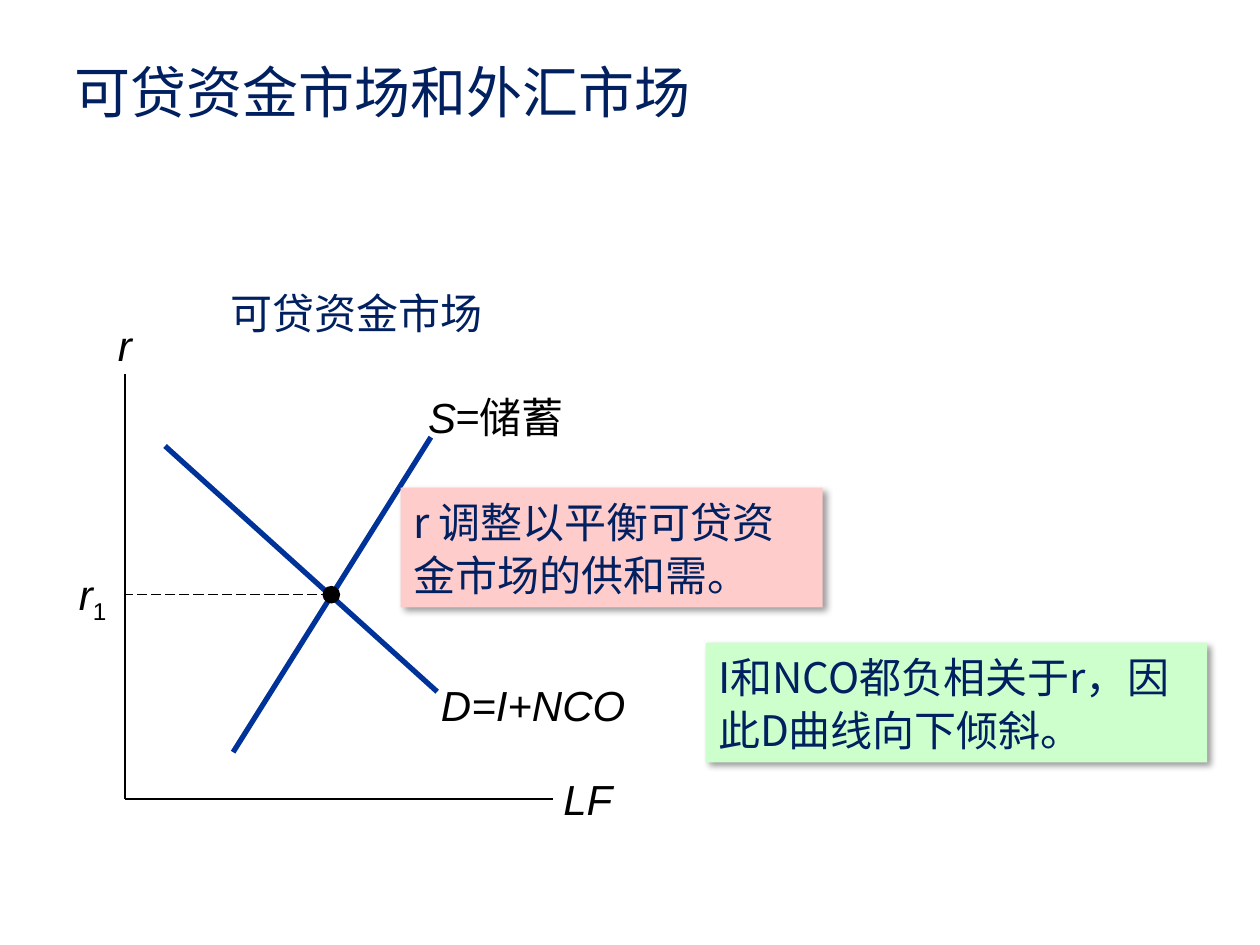
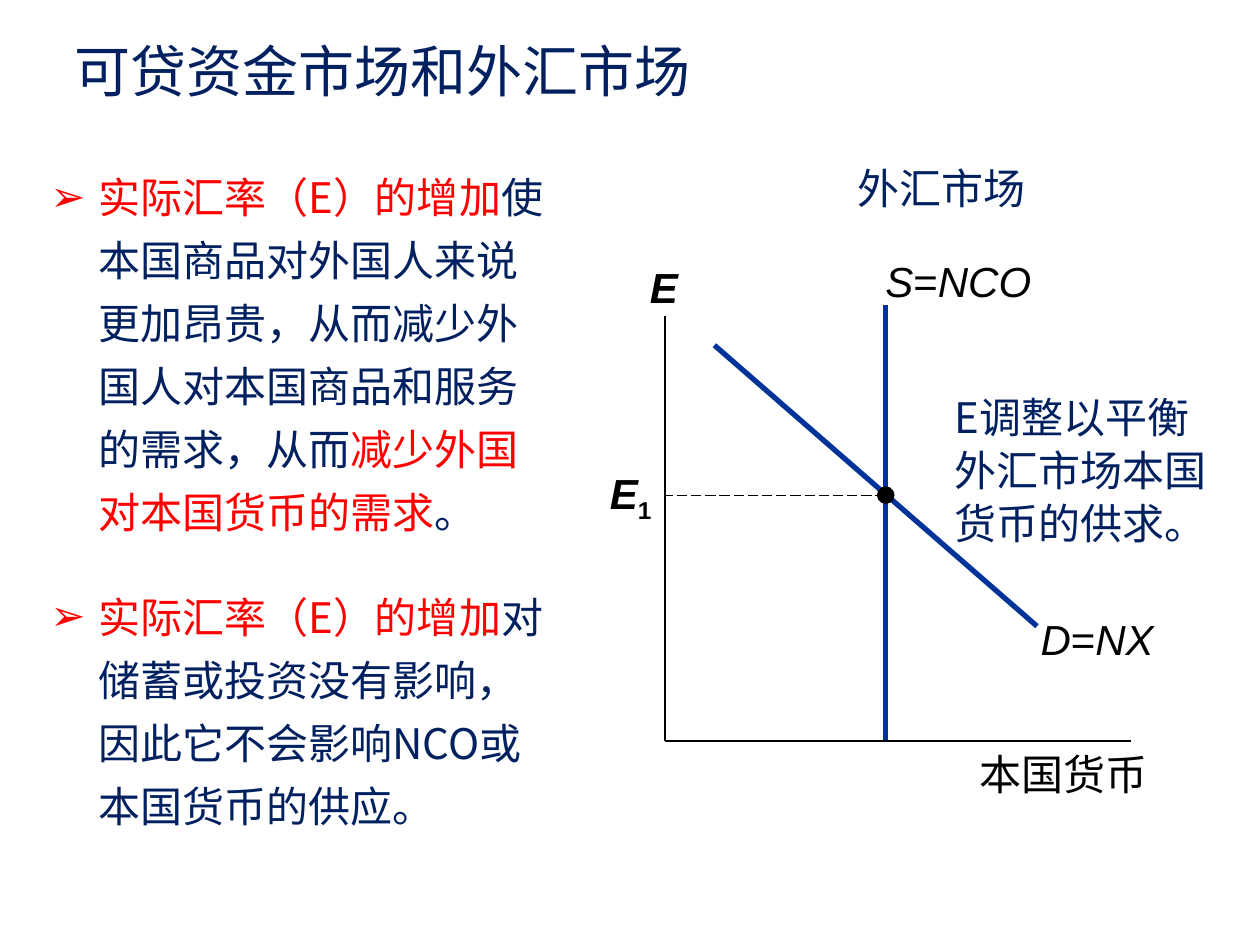
from lxml.etree import SubElement as Sub
from pptx import Presentation
from pptx.dml.color import RGBColor as RGB
from pptx.enum.dml import MSO_LINE_DASH_STYLE as Dash
from pptx.enum.shapes import MSO_CONNECTOR as Conn, MSO_SHAPE as Kind
from pptx.enum.text import MSO_ANCHOR as Anchor, MSO_AUTO_SIZE as Auto, PP_ALIGN as Align
from pptx.oxml.ns import qn
from pptx.util import Inches, Pt

# Shared style
HUE = {"navy": "002060", "curve": "003399", "ink": "000000", "red": "FF0000",
       "pink": "FFCCCC", "mint": "CCFFCC"}
CJK, LATIN = "Noto Sans CJK SC", "Arial"
TITLE = "可贷资金市场和外汇市场"

# Run formats
NOTE = {"name": CJK, "size": Pt(24), "hue": "navy"}
HOT = {**NOTE, "hue": "red"}
WORD = {**NOTE, "hue": "ink"}
HEAD = {**NOTE, "size": Pt(32)}
SIGN = {"name": LATIN, "size": Pt(24), "hue": "ink"}
VAR = {**SIGN, "italic": True}
BOLD = {**VAR, "bold": True}
SUB = {**SIGN, "sub": True}
BOLD_SUB = {**SUB, "bold": True}


def color(name):
    return RGB.from_string(HUE[name])


class Deck:
    """Holds the style and the current slide."""

    def __init__(self):
        self.prs = Presentation()
        self.prs.slide_width, self.prs.slide_height = Inches(10), Inches(7.5)

    def page(self, layout, top):
        self.slide = self.prs.slides.add_slide(self.prs.slide_layouts[layout])
        title = self.slide.shapes.title
        self.place(title, (0.49, top, 7.96, 0.64))
        self.fill_text(title.text_frame, [(TITLE, HEAD)])

    def place(self, shape, box):
        for key, val in zip(("left", "top", "width", "height"), box):
            setattr(shape, key, Inches(val))

    def add_runs(self, para, runs):
        for text, form in runs:
            run = para.add_run()
            run.text = text
            for key, val in form.items():
                if key == "hue":
                    run.font.color.rgb = color(val)
                elif key == "sub":
                    run.font._element.set("baseline", "-25000")
                else:
                    setattr(run.font, key, val)
            if form["name"] == CJK:
                Sub(run.font._element, qn("a:ea")).set("typeface", CJK)

    def fill_text(self, frame, runs, align=Align.LEFT, space=None, inset=None):
        form = {"word_wrap": True, "auto_size": Auto.NONE, "vertical_anchor": Anchor.TOP}
        if inset is not None:
            form.update({"margin_" + side: Inches(inset)
                         for side in ("left", "top", "right", "bottom")})
        for key, val in form.items():
            setattr(frame, key, val)
        para = frame.paragraphs[0]
        para.alignment = align
        if space:
            para.line_spacing = space
        self.add_runs(para, runs)

    def label(self, box, *runs, **opts):
        shape = self.slide.shapes.add_textbox(*map(Inches, box))
        self.fill_text(shape.text_frame, runs, **opts)

    def solid(self, kind, box, fill):
        shape = self.slide.shapes.add_shape(kind, *map(Inches, box))
        shape.shadow.inherit = False
        shape.fill.solid()
        shape.fill.fore_color.rgb = color(fill)
        shape.line.fill.background()
        return shape

    def card(self, box, fill, text):
        shape = self.solid(Kind.RECTANGLE, box, fill)
        glow = Sub(shape._element.spPr.find(qn("a:effectLst")), qn("a:outerShdw"),
                   blurRad=str(Pt(4)), dist=str(Pt(3)), dir="2700000",
                   algn="tl", rotWithShape="0")
        tone = Sub(glow, qn("a:srgbClr"), val=HUE["ink"])
        Sub(tone, qn("a:alpha"), val="40000")
        self.fill_text(shape.text_frame, [(text, NOTE)], space=1.05)

    def line(self, start, end, hue="ink", width=1, dash=None):
        link = self.slide.shapes.add_connector(Conn.STRAIGHT, *map(Inches, start + end))
        Sub(link._element.spPr, qn("a:effectLst"))
        for key, val in {"width": Pt(width), "dash_style": dash}.items():
            setattr(link.line, key, val)
        link.line.color.rgb = color(hue)

    def curve(self, start, end):
        self.line(start, end, "curve", 3)

    def axes(self, left, top, right, base):
        self.line((left, top), (left, base))
        self.line((left, base), (right, base))

    def level(self, axis, x, y):
        """Dashed guide from the axis to the equilibrium dot."""
        self.line((x, y), (axis, y), width=0.75, dash=Dash.LONG_DASH)
        self.solid(Kind.OVAL, (x - 0.07, y - 0.07, 0.14, 0.14), "ink")

    def bullets(self, box, items):
        body = self.slide.placeholders[1]
        self.place(body, box)
        frame = body.text_frame
        self.fill_text(frame, items[0])
        for runs in items[1:]:
            self.add_runs(frame.add_paragraph(), runs)
        form = {"line_spacing": Pt(36), "space_before": Pt(12), "space_after": Pt(12)}
        for para in frame.paragraphs:
            for key, val in form.items():
                setattr(para, key, val)
            props = para._p.get_or_add_pPr()
            props.set("marL", str(Inches(0.38)))
            props.set("indent", str(Inches(-0.38)))
            Sub(props, qn("a:buChar"), char="➢")


def funds(deck):
    """Market for loanable funds."""
    deck.page(5, 0.41)
    # Demand
    deck.curve((1.31, 3.54), (3.47, 5.49))
    deck.label((3.5, 5.39, 1.93, 0.4), ("D=I+NCO", VAR), inset=0)
    # Axes
    deck.axes(0.99, 2.97, 4.39, 6.34)
    deck.label((0.8, 2.49, 0.38, 0.5), ("r", VAR), align=Align.CENTER)
    deck.label((4.34, 6.09, 0.65, 0.5), ("LF", VAR), align=Align.CENTER)
    # Supply
    deck.curve((1.85, 5.97), (3.42, 3.47))
    deck.label((3.3, 3.06, 1.89, 0.5), ("S", VAR), ("=储蓄", WORD))
    deck.label((1.5, 2.23, 2.66, 0.5), ("可贷资金市场", NOTE), align=Align.CENTER)
    # Equilibrium
    deck.label((0.52, 4.51, 0.43, 0.4), ("r", VAR), ("1", SUB),
               align=Align.CENTER, inset=0)
    deck.level(0.99, 2.63, 4.72)
    # Notes
    deck.card((3.18, 3.87, 3.35, 0.95), "pink", "r 调整以平衡可贷资金市场的供和需。")
    deck.card((5.6, 5.1, 3.98, 0.95), "mint", "I和NCO都负相关于r，因此D曲线向下倾斜。")


def exchange(deck):
    """Market for foreign exchange."""
    deck.page(1, 0.24)
    # Supply
    deck.label((6.51, 1.96, 2.19, 0.49), ("S", VAR), ("=", SIGN), ("NCO", VAR),
               align=Align.CENTER, space=1.05)
    deck.curve((7.03, 5.88), (7.03, 2.42))
    # Axes
    deck.axes(5.28, 2.51, 8.98, 5.88)
    deck.label((5.04, 2.03, 0.46, 0.5), ("E", BOLD), align=Align.CENTER)
    deck.label((7.67, 5.94, 1.54, 0.4), ("本国货币", WORD), align=Align.CENTER, inset=0)
    # Demand
    deck.curve((5.67, 2.74), (8.23, 4.97))
    deck.label((8.16, 4.8, 1.35, 0.49), ("D", VAR), ("=", SIGN), ("NX", VAR), space=1.05)
    # Equilibrium
    deck.label((4.78, 3.71, 0.45, 0.4), ("E", BOLD), ("1", BOLD_SUB),
               align=Align.CENTER, inset=0)
    deck.level(5.28, 7.03, 3.93)
    # Notes
    deck.label((7.48, 3.04, 2.38, 1.37), ("E调整以平衡外汇市场本国货币的供求。", NOTE),
               space=1.05)
    deck.label((6.71, 1.22, 1.68, 0.53), ("外汇市场", NOTE), space=1.05)
    rise = ("实际汇率（E）的增加", HOT)
    deck.bullets((0.3, 1.21, 4.24, 5.49), [
        [rise,
         ("使本国商品对外国人来说更加昂贵，从而减少外国人对本国商品和服务的需求，从而", NOTE),
         ("减少外国对本国货币的需求", HOT), ("。", NOTE)],
        [rise, ("对储蓄或投资没有影响，因此它不会影响NCO或本国货币的供应。", NOTE)],
    ])


def main():
    deck = Deck()
    funds(deck)
    exchange(deck)
    deck.prs.save("out.pptx")


if __name__ == "__main__":
    main()
